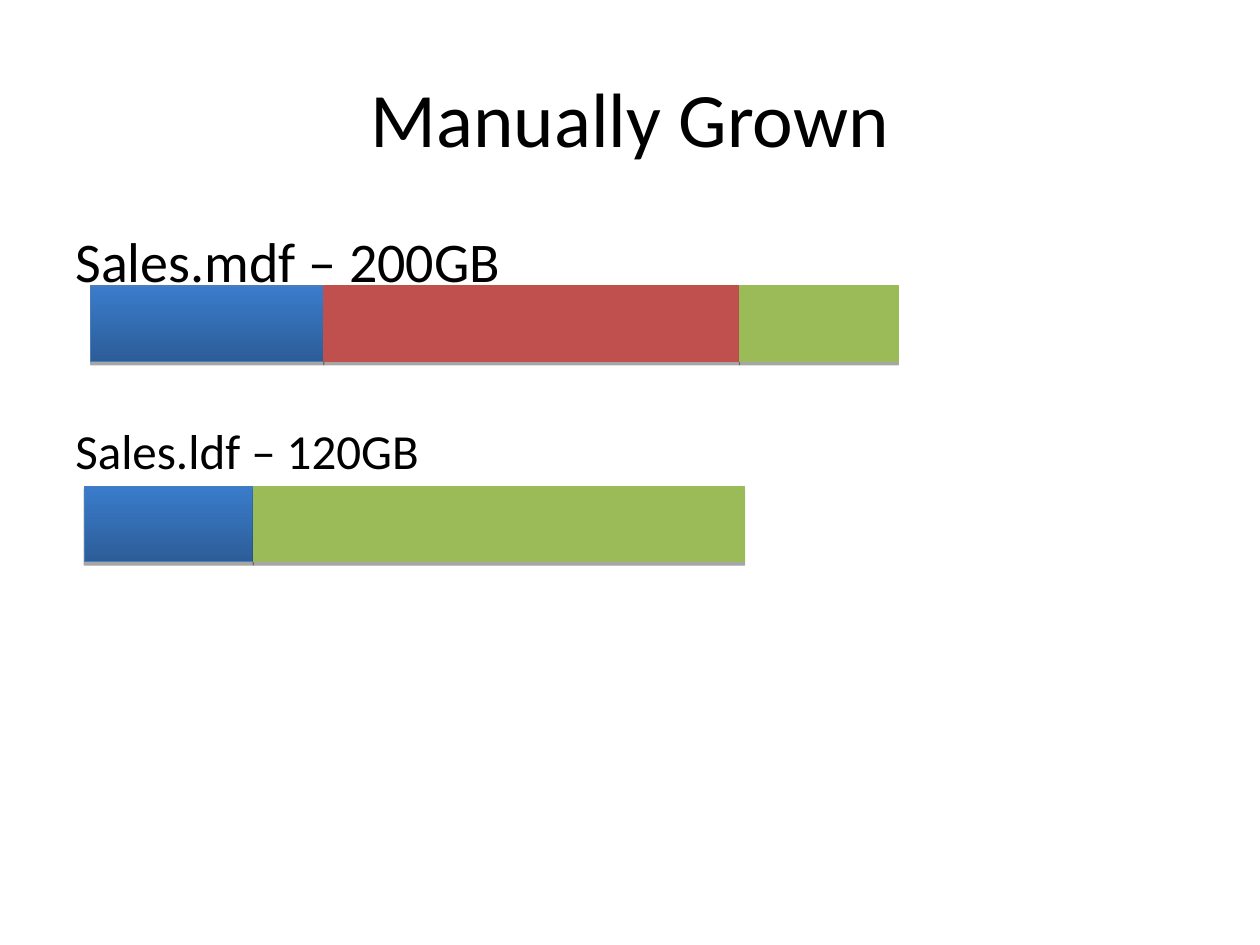
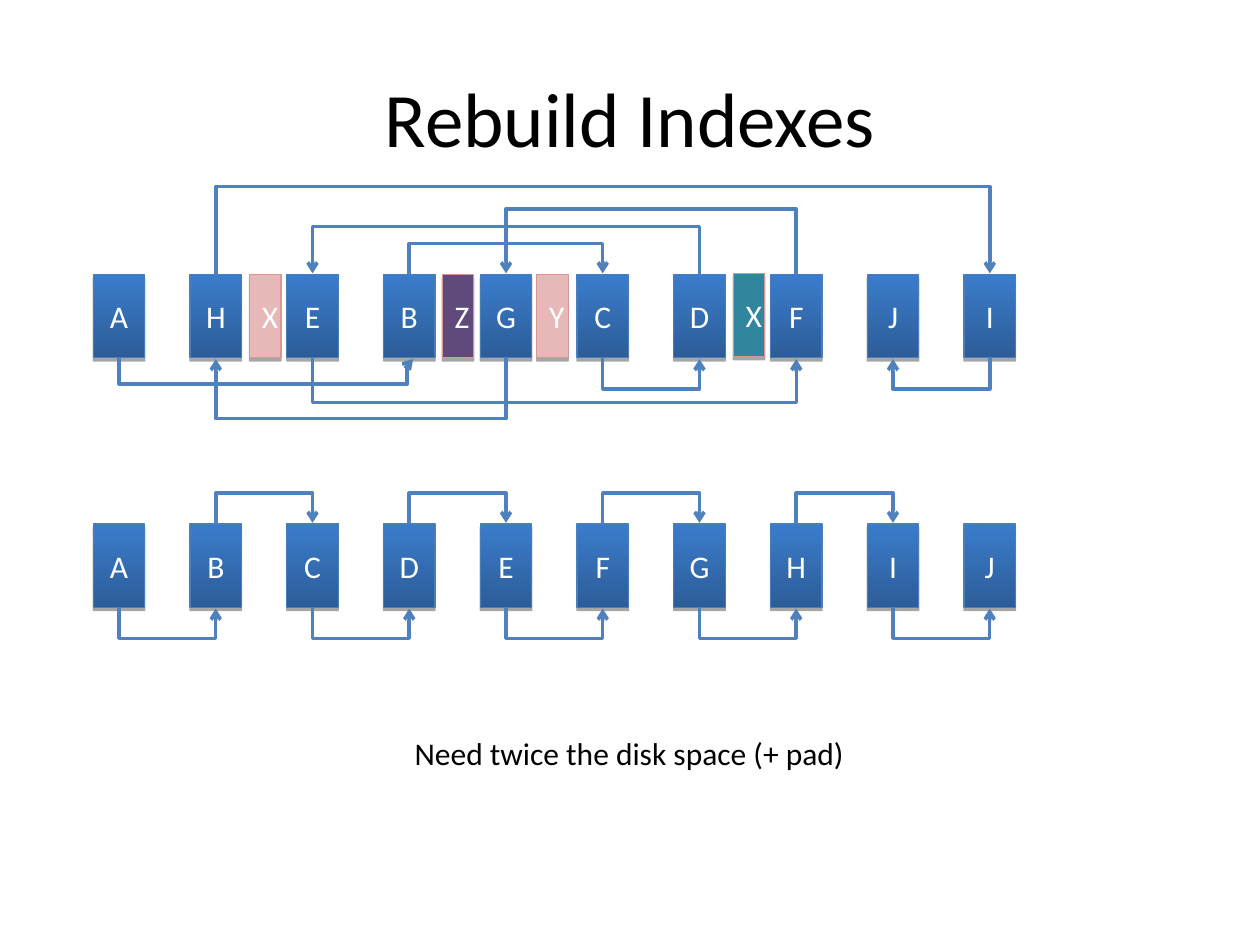
from lxml import etree
from pptx import Presentation
from pptx.dml.color import RGBColor
from pptx.enum.shapes import MSO_CONNECTOR, MSO_SHAPE
from pptx.enum.text import MSO_ANCHOR, PP_ALIGN
from pptx.oxml.ns import qn
from pptx.util import Inches, Pt

RECTANGLE = MSO_SHAPE.RECTANGLE
ELBOW = MSO_CONNECTOR.ELBOW
LEFT, CENTER = PP_ALIGN.LEFT, PP_ALIGN.CENTER
TOP, MIDDLE = MSO_ANCHOR.TOP, MSO_ANCHOR.MIDDLE

BLACK = RGBColor(0x00, 0x00, 0x00)
WHITE = RGBColor(0xFF, 0xFF, 0xFF)
BLUE_DARK = RGBColor(0x2C, 0x5D, 0x98)
BLUE_LIGHT = RGBColor(0x3A, 0x7C, 0xCB)
BLUE_EDGE = RGBColor(0x4A, 0x7E, 0xBB)
ARROW_BLUE = RGBColor(0x4F, 0x81, 0xBD)
RED = RGBColor(0xC0, 0x50, 0x4D)
GREEN = RGBColor(0x9B, 0xBB, 0x59)
PINK = RGBColor(0xE6, 0xB9, 0xB8)
PINK_EDGE = RGBColor(0xD9, 0x96, 0x94)
PURPLE = RGBColor(0x60, 0x4A, 0x7B)
TEAL = RGBColor(0x31, 0x85, 0x9C)
BLUE_GRADIENT = (BLUE_DARK, BLUE_LIGHT)

FONT = "Calibri"
BAR_HEIGHT = 0.6
NODE_WIDTH, NODE_HEIGHT = 0.41, 0.66
FIRST_NODE, LAST_NODE = 0.74, 7.65
ARROW_DRIFT = 0.01


def write(frame, text, size=18, color=BLACK, align=LEFT, anchor=TOP):
    frame.word_wrap = True
    frame.vertical_anchor = anchor
    para = frame.paragraphs[0]
    para.alignment = align
    span = para.add_run()
    span.text = text
    span.font.name = FONT
    span.font.size = Pt(size)
    span.font.color.rgb = color


class Deck:
    def __init__(self):
        self.presentation = Presentation()
        self.presentation.slide_width = Inches(10)
        self.presentation.slide_height = Inches(7.5)
        self.page = None

    def add_page(self, title):
        self.page = self.presentation.slides.add_slide(self.presentation.slide_layouts[6])
        self.add_text(title, 0.5, 0.3, 9, 1.25, size=44, align=CENTER, anchor=MIDDLE)

    def add_text(self, text, left, top, width, height, **style):
        box = self.page.shapes.add_textbox(
            Inches(left), Inches(top), Inches(width), Inches(height))
        write(box.text_frame, text, **style)

    def add_block(self, left, top, width, height, fill, edge, text=""):
        """Draw a rectangle; a pair of colours as fill runs from bottom to top."""
        block = self.page.shapes.add_shape(
            RECTANGLE, Inches(left), Inches(top), Inches(width), Inches(height))
        if fill is BLUE_GRADIENT:
            block.fill.gradient()
            block.fill.gradient_angle = 90
            for stop, color in zip(block.fill.gradient_stops, fill):
                stop.color.rgb = color
        else:
            block.fill.solid()
            block.fill.fore_color.rgb = fill
        block.line.color.rgb = edge
        block.line.width = Pt(0.75)
        block.shadow.inherit = False
        effects = block._element.spPr.find(qn("a:effectLst"))
        shadow = etree.SubElement(effects, qn("a:outerShdw"), blurRad="0",
                                  dist=str(Pt(1.8)), dir="5400000", rotWithShape="0")
        black = etree.SubElement(shadow, qn("a:srgbClr"), val="000000")
        etree.SubElement(black, qn("a:alpha"), val="35000")
        if text:
            write(block.text_frame, text, color=WHITE, align=CENTER, anchor=MIDDLE)

    def add_bar(self, left, top, parts):
        for width, fill, edge in parts:
            self.add_block(left, top, width, BAR_HEIGHT, fill, edge)
            left += width

    def add_arrow(self, start, end, y, depth, above, hook=None):
        """Draw a U-shaped arrow; hook is the share of the way where it turns back."""
        span = abs(end - start)
        rightward = end > start
        middle = (start + end) / 2
        center = y + (-ARROW_DRIFT if above else ARROW_DRIFT) / 2
        # The connector is laid out upright and then turned, so both flips come first.
        xs = [middle - ARROW_DRIFT / 2, middle + ARROW_DRIFT / 2]
        ys = [center - span / 2, center + span / 2]
        if rightward:
            xs.reverse()
        if above:
            ys.reverse()
        arrow = self.page.shapes.add_connector(
            ELBOW, Inches(xs[0]), Inches(ys[0]), Inches(xs[1]), Inches(ys[1]))
        arrow.line.color.rgb = ARROW_BLUE
        arrow.line.width = Pt(2)
        properties = arrow._element.spPr
        turn = 90 if rightward == above else 270
        properties.find(qn("a:xfrm")).set("rot", str(turn * 60000))
        geometry = properties.find(qn("a:prstGeom"))
        guides = geometry.find(qn("a:avLst"))
        ratios = [depth / ARROW_DRIFT]
        if hook:
            geometry.set("prst", "bentConnector4")
            ratios.append(hook)
        for number, ratio in enumerate(ratios, 1):
            etree.SubElement(guides, qn("a:gd"), name=f"adj{number}",
                             fmla=f"val {round(ratio * 100000)}")
        etree.SubElement(properties.find(qn("a:ln")), qn("a:tailEnd"), type="arrow")
        etree.SubElement(properties, qn("a:effectLst"))

    def add_chain(self, order, top, depths, hooked=False):
        """Draw nodes in disk order, linked alphabetically below and above in turn."""
        pitch = (LAST_NODE - FIRST_NODE) / (len(order) - 1)
        centers = {}
        for index, letter in enumerate(order):
            left = FIRST_NODE + index * pitch
            centers[letter] = left + NODE_WIDTH / 2
            self.add_block(left, top, NODE_WIDTH, NODE_HEIGHT,
                           BLUE_GRADIENT, BLUE_EDGE, letter)
        letters = sorted(order)
        for index, depth in enumerate(depths):
            above = index % 2 == 1
            start, end = centers[letters[index]], centers[letters[index + 1]]
            hook = None
            if hooked and index == 0:
                end += 0.03
                hook = 0.98
            self.add_arrow(start, end, top if above else top + NODE_HEIGHT,
                           depth, above, hook)


def build_manually_grown(deck):
    deck.add_page("Manually Grown")
    used = BLUE_GRADIENT, BLUE_EDGE
    deck.add_text("Sales.mdf – 200GB", 0.5, 1.75, 8.28, 1.08, size=32)
    deck.add_bar(0.72, 2.27, [(1.85, *used), (3.3, RED, RED), (1.26, GREEN, GREEN)])
    deck.add_text("Sales.ldf – 120GB", 0.5, 3.29, 9, 0.57, size=28)
    deck.add_bar(0.67, 3.86, [(1.34, *used), (3.9, GREEN, GREEN)])


def build_rebuild_indexes(deck):
    deck.add_page("Rebuild Indexes")
    deck.add_chain("AHEBGCDFJI", 2.18,
                   [0.21, 0.25, 0.25, 0.39, 0.36, 0.53, 0.49, 0.71, 0.25], hooked=True)
    for letter, left, top, fill in [("X", 1.98, 2.18, PINK), ("Y", 4.26, 2.18, PINK),
                                    ("Z", 3.51, 2.18, PURPLE), ("X", 5.82, 2.17, TEAL)]:
        deck.add_block(left, top, 0.25, NODE_HEIGHT, fill, PINK_EDGE, letter)
    deck.add_chain("ABCDEFGHIJ", 4.16, [0.25] * 9)
    deck.add_text("Need twice the disk space (+ pad)", 1.25, 5.78, 7.49, 0.4, align=CENTER)


def main():
    deck = Deck()
    build_manually_grown(deck)
    build_rebuild_indexes(deck)
    deck.presentation.save("out.pptx")


if __name__ == "__main__":
    main()
